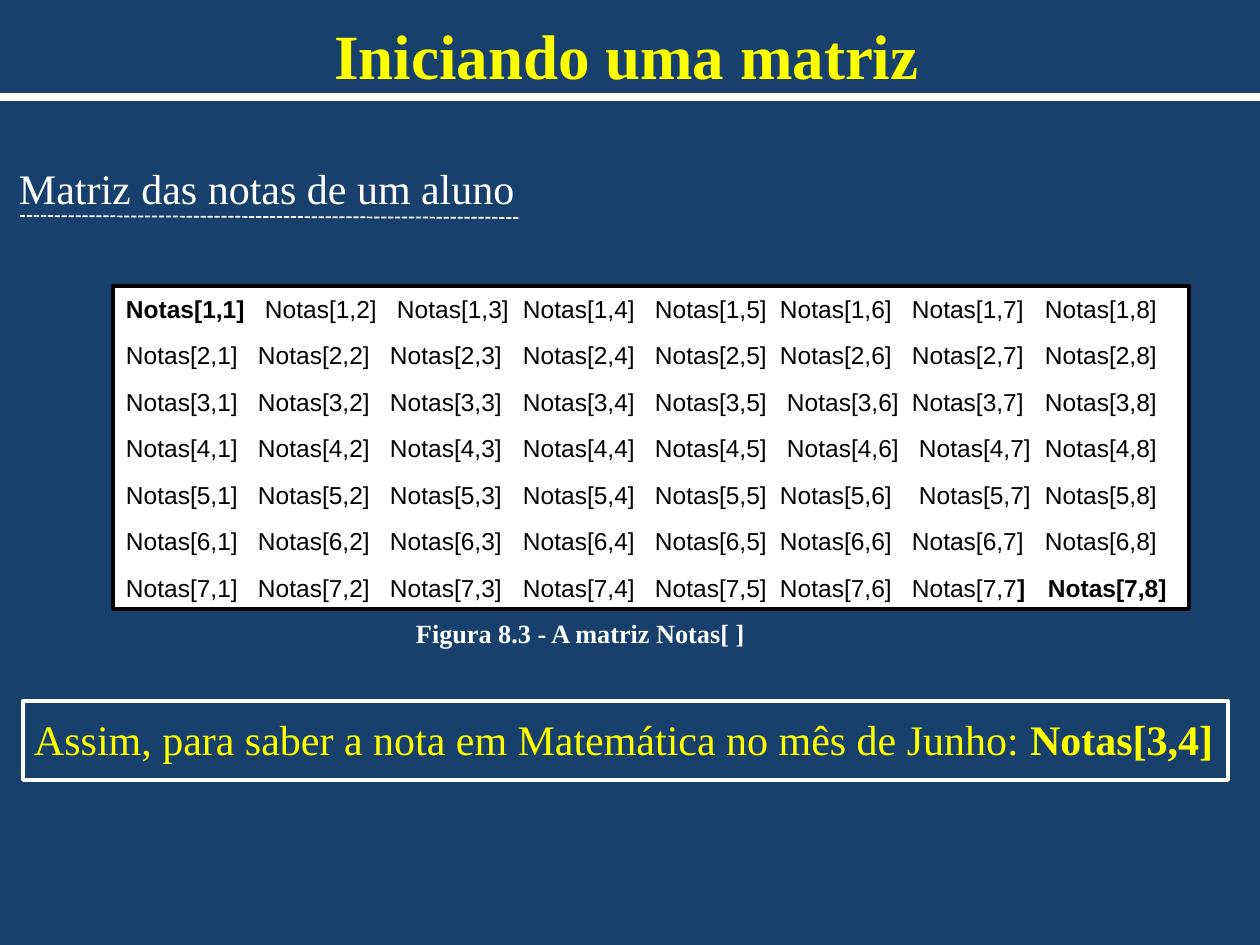
from dataclasses import dataclass

from lxml.etree import SubElement
from pptx import Presentation
from pptx.dml.color import RGBColor
from pptx.enum.dml import MSO_LINE
from pptx.enum.shapes import MSO_CONNECTOR, MSO_SHAPE
from pptx.enum.text import MSO_ANCHOR, PP_ALIGN
from pptx.oxml.ns import qn
from pptx.util import Emu, Pt

PIXEL = 914400 // 126
COLORS = {"background": "17406D", "white": "FFFFFF", "black": "000000", "yellow": "FFFF00"}
SERIF, SANS = "Times New Roman", "Arial"

ROWS, COLUMNS = 7, 8
COLUMN_STARTS = (0, 132, 264, 397, 529, 654, 786, 919)
# Entries that stand slightly to the right of their column
SHIFTS = {(1, 2): 7, (1, 3): 7, (3, 6): 7, (4, 6): 7, (4, 7): 7, (5, 7): 7, (7, 8): 3}


@dataclass(frozen=True)
class Box:
    left: int
    top: int
    width: int
    height: int


@dataclass(frozen=True)
class Label:
    box: Box
    runs: tuple[tuple[str, bool], ...]
    size: int
    color: str
    left_inset: int = 13
    top_inset: int = 6
    alignment: PP_ALIGN = PP_ALIGN.LEFT


@dataclass(frozen=True)
class Rule:
    start: tuple[int, int]
    end: tuple[int, int]
    width: float
    dash: MSO_LINE | None = None


LABELS = (
    Label(Box(292, 609, 636, 47), (("Figura 8.3 - A matriz Notas[ ]", True),),
          15, "white", left_inset=124, top_inset=8),
    Label(Box(91, 6, 1071, 84), (("Iniciando uma matriz", True),),
          36, "yellow", top_inset=10, alignment=PP_ALIGN.CENTER),
    Label(Box(6, 155, 525, 64), (("Matriz das notas de um aluno", False),),
          24, "white", top_inset=8),
    Label(Box(14, 706, 1246, 64),
          (("Assim, para saber a nota em Matemática no mês de Junho: ", False),
           ("Notas[3,4]", True)),
          24, "yellow", left_inset=20, top_inset=8),
)
RULES = (
    Rule((0, 97), (1260, 97), 4.5),
    Rule((20, 216), (519, 218), 1, MSO_LINE.SQUARE_DOT),
)


def px(value: int) -> Emu:
    return Emu(value * PIXEL)


def rgb(name: str) -> RGBColor:
    return RGBColor.from_string(COLORS[name])


def position(box: Box) -> tuple[Emu, Emu, Emu, Emu]:
    return px(box.left), px(box.top), px(box.width), px(box.height)


def set_frame(frame, left_inset: int, top_inset: int) -> None:
    frame.word_wrap = True
    frame.vertical_anchor = MSO_ANCHOR.TOP
    frame.margin_left, frame.margin_top = px(left_inset), px(top_inset)
    frame.margin_right, frame.margin_bottom = px(13), px(6)


def add_run(paragraph, text: str, font_name: str, size: int, color: str, bold: bool) -> None:
    run = paragraph.add_run()
    run.text = text
    run.font.name, run.font.size, run.font.bold = font_name, Pt(size), bold
    run.font.color.rgb = rgb(color)


def add_label(slide, label: Label) -> None:
    frame = slide.shapes.add_textbox(*position(label.box)).text_frame
    set_frame(frame, label.left_inset, label.top_inset)
    paragraph = frame.paragraphs[0]
    paragraph.alignment = label.alignment
    for text, bold in label.runs:
        add_run(paragraph, text, SERIF, label.size, label.color, bold)


def add_rectangle(slide, box: Box, line: str, fill: str | None = None):
    shape = slide.shapes.add_shape(MSO_SHAPE.RECTANGLE, *position(box))
    shape.shadow.inherit = False
    if fill:
        shape.fill.solid()
        shape.fill.fore_color.rgb = rgb(fill)
    else:
        shape.fill.background()
    shape.line.color.rgb = rgb(line)
    shape.line.width = Pt(2.25)
    return shape


def add_rule(slide, rule: Rule) -> None:
    connector = slide.shapes.add_connector(
        MSO_CONNECTOR.STRAIGHT, *map(px, rule.start + rule.end))
    connector.line.color.rgb = rgb("white")
    connector.line.width = Pt(rule.width)
    if rule.dash:
        connector.line.dash_style = rule.dash
    SubElement(connector._element.spPr, qn("a:effectLst"))


def add_tab_stops(paragraph, row: int) -> None:
    tab_list = SubElement(paragraph._p.get_or_add_pPr(), qn("a:tabLst"))
    for column, start in enumerate(COLUMN_STARTS[1:], start=2):
        stop = px(start + SHIFTS.get((row, column), 0))
        SubElement(tab_list, qn("a:tab"), pos=str(stop), algn="l")


def matrix_runs(row: int) -> tuple[tuple[str, bool], ...]:
    """Text of one row, with the first and last entries of the matrix in bold."""
    entries = [f"Notas[{row},{column}]" for column in range(1, COLUMNS + 1)]
    if row == 1:
        return (entries[0], True), ("\t" + "\t".join(entries[1:]), False)
    text = "\t".join(entries)
    if row == ROWS:
        bold_start = text.rindex("]\t")
        return (text[:bold_start], False), (text[bold_start:], True)
    return ((text, False),)


def add_matrix(slide) -> None:
    frame = add_rectangle(slide, Box(113, 286, 1076, 323), "black", "white").text_frame
    set_frame(frame, left_inset=13, top_inset=8)
    for row in range(1, ROWS + 1):
        paragraph = frame.paragraphs[0] if row == 1 else frame.add_paragraph()
        add_tab_stops(paragraph, row)
        paragraph.alignment = PP_ALIGN.LEFT
        paragraph.space_before = Pt(0 if row == 1 else 3.7)
        paragraph.space_after = Pt(6)
        for text, bold in matrix_runs(row):
            add_run(paragraph, text, SANS, 14, "black", bold)


def main() -> None:
    presentation = Presentation()
    presentation.slide_width, presentation.slide_height = px(1260), px(945)
    slide = presentation.slides.add_slide(presentation.slide_layouts[6])
    slide.background.fill.solid()
    slide.background.fill.fore_color.rgb = rgb("background")

    add_matrix(slide)
    for label in LABELS:
        add_label(slide, label)
    add_rectangle(slide, Box(23, 701, 1205, 79), "white")
    for rule in RULES:
        add_rule(slide, rule)
    presentation.save("out.pptx")


if __name__ == "__main__":
    main()
